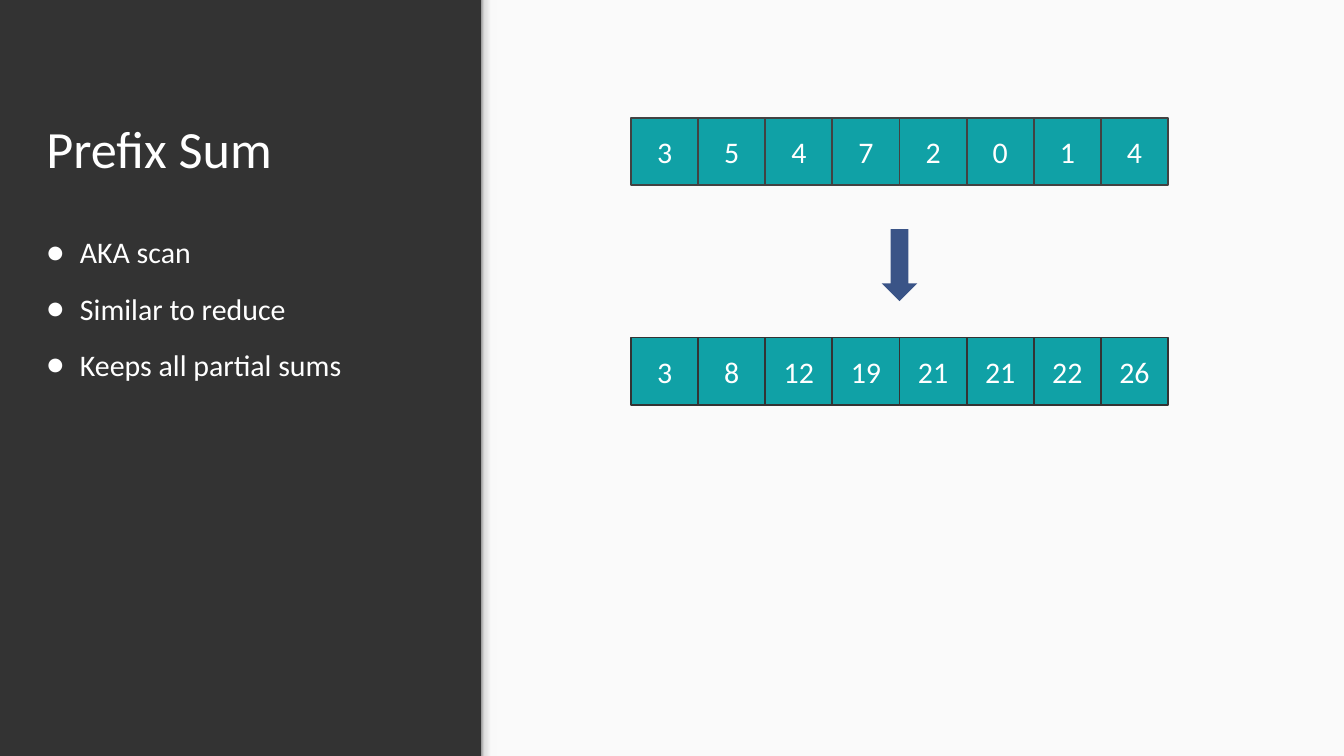
from itertools import accumulate

from lxml import etree
from pptx import Presentation
from pptx.dml.color import RGBColor
from pptx.enum import shapes, text
from pptx.oxml import ns
from pptx.util import Inches, Pt

TITLE = "Prefix Sum"
BULLETS = ["AKA scan", "Similar to reduce", "Keeps all partial sums"]
VALUES = [3, 5, 4, 7, 2, 0, 1, 4]

FONT = "Calibri"
DARK = RGBColor(0x33, 0x33, 0x33)
GREY = RGBColor(0x42, 0x42, 0x42)
PAPER = RGBColor(0xFA, 0xFA, 0xFA)
WHITE = RGBColor(0xFF, 0xFF, 0xFF)
TEAL = RGBColor(0x10, 0xA1, 0xA6)
BLUE = RGBColor(0x3A, 0x54, 0x87)
EDGE_STOPS = [(0, "999999"), (20, "DEDEDE"), (64, "F9F9F9"), (100, "F9F9F9")]

WIDTH, HEIGHT = 20, 11.244
PANEL_LEFT = 7.17
ROW_LEFT, CELL, PITCH = 9.39, 1, 0.999
ROWS = [  # top, values, outline
    (1.75, VALUES, GREY),
    (5.02, list(accumulate(VALUES)), DARK),
]


def add_run(p, words, size):
    """Add one white run to a paragraph."""
    r = p.add_run()
    r.text = words
    r.font.name = FONT
    r.font.size = Pt(size)
    r.font.color.rgb = WHITE


def add_box(slide, kind, box, fill=None, line=None):
    """Add a shape without shadow; leave the fill to the caller if none is given."""
    sp = slide.shapes.add_shape(kind, *map(Inches, box))
    sp.shadow.inherit = False
    if fill is not None:
        sp.fill.solid()
        sp.fill.fore_color.rgb = fill
    if line is None:
        sp.line.fill.background()
    else:
        sp.line.color.rgb = line
        sp.line.width = Pt(2)
    return sp


def add_text_frame(slide, box, anchor):
    """Add a wrapping text box with wide margins and return its frame."""
    tf = slide.shapes.add_textbox(*map(Inches, box)).text_frame
    tf.word_wrap = True
    tf.vertical_anchor = anchor
    tf.margin_left = tf.margin_right = Inches(0.2)
    tf.margin_top = tf.margin_bottom = Inches(0.2)
    return tf


def set_gradient(sp, stops):
    """Fill a shape with a left-to-right gradient of any number of stops."""
    sp.fill.gradient()
    sp.fill.gradient_angle = 0
    stop_list = sp._element.spPr.find(".//" + ns.qn("a:gsLst"))
    for old in list(stop_list):
        stop_list.remove(old)
    for percent, colour in stops:
        stop = etree.SubElement(stop_list, ns.qn("a:gs"), pos=str(percent * 1000))
        etree.SubElement(stop, ns.qn("a:srgbClr"), val=colour)


def add_bullet(p, words):
    """Write one bulleted paragraph with a hanging indent."""
    p.line_spacing = 1.15
    p.space_after = Pt(16)
    pPr = p._p.get_or_add_pPr()
    pPr.set("marL", str(Inches(0.5)))
    pPr.set("indent", str(Inches(-0.5)))
    colour = etree.SubElement(pPr, ns.qn("a:buClr"))
    etree.SubElement(colour, ns.qn("a:srgbClr"), val=str(WHITE))
    etree.SubElement(pPr, ns.qn("a:buFont"), typeface=FONT)
    etree.SubElement(pPr, ns.qn("a:buChar"), char="●")
    add_run(p, words, 32)


def add_row(slide, top, values, line):
    """Draw an array as a row of adjoining cells."""
    for i, value in enumerate(values):
        box = (ROW_LEFT + i * PITCH, top, CELL, CELL)
        tf = add_box(slide, shapes.MSO_SHAPE.RECTANGLE, box, TEAL, line).text_frame
        tf.vertical_anchor = text.MSO_ANCHOR.MIDDLE
        p = tf.paragraphs[0]
        p.alignment = text.PP_ALIGN.CENTER
        add_run(p, str(value), 32)


prs = Presentation()
prs.slide_width, prs.slide_height = Inches(WIDTH), Inches(HEIGHT)
slide = prs.slides.add_slide(prs.slide_layouts[6])
slide.background.fill.solid()
slide.background.fill.fore_color.rgb = DARK

rect = shapes.MSO_SHAPE.RECTANGLE
add_box(slide, rect, (PANEL_LEFT, 0, WIDTH - PANEL_LEFT, HEIGHT), PAPER)
edge = add_box(slide, rect, (PANEL_LEFT - 0.01, 0, 0.24, HEIGHT))
set_gradient(edge, EDGE_STOPS)

title = add_text_frame(slide, (0.49, 0.78, 6.14, 2.08), text.MSO_ANCHOR.BOTTOM)
add_run(title.paragraphs[0], TITLE, 56)

body = add_text_frame(slide, (0.49, 3.2, 6.14, 1.81), text.MSO_ANCHOR.TOP)
for i, words in enumerate(BULLETS):
    add_bullet(body.add_paragraph() if i else body.paragraphs[0], words)

for top, values, line in ROWS:
    add_row(slide, top, values, line)
add_box(slide, shapes.MSO_SHAPE.DOWN_ARROW, (13.12, 3.41, 0.53, 1.07), BLUE)

prs.save("out.pptx")
